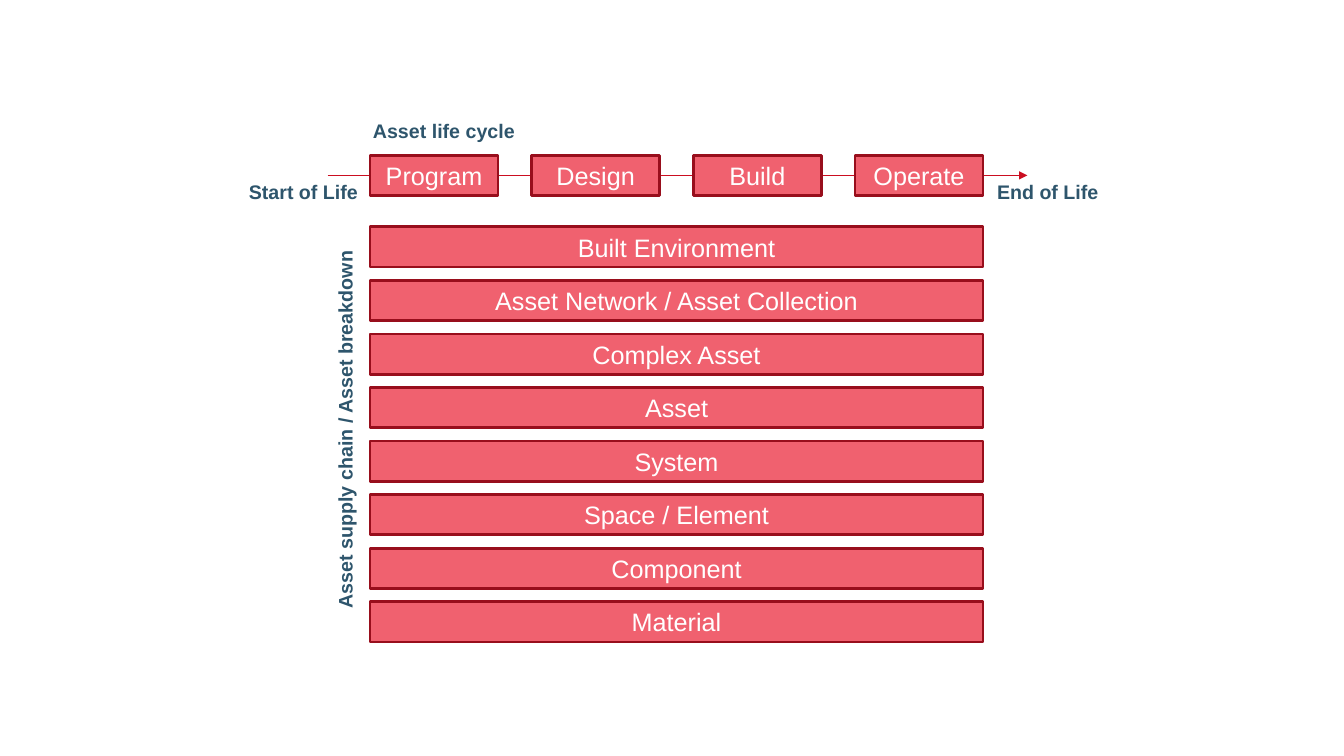
from lxml import etree
from pptx import Presentation
from pptx import util as u
from pptx.dml.color import RGBColor
from pptx.enum import shapes, text
from pptx.oxml.ns import qn

WIDE, HIGH = 13.33, 7.5
LEFT, SPAN = 3.67, 6.08
BOX_W, BOX_H = 1.27, 0.4
STEP = (SPAN - BOX_W) / 3
CYCLE_TOP, AXIS = 1.54, 1.74
ROW_TOP, ROW_STEP = 2.25, 3.72 / 7
LABEL_H = 0.34

STAGES = ["Program", "Design", "Build", "Operate"]
LEVELS = ["Built Environment", "Asset Network / Asset Collection",
          "Complex Asset", "Asset", "System", "Space / Element",
          "Component", "Material"]
LABELS = [("Asset life cycle", 3.6, 1.13, 1.61, 0),
          ("Start of Life", 2.37, AXIS, 1.34, 0),
          ("End of Life", 9.79, AXIS, 1.21, 0),
          ("Asset supply chain / Asset breakdown", 1.49, 4.03, 3.87, 270)]

BAR_FONT = {"name": "Arial", "size": u.Pt(18), "bold": False}
LABEL_FONT = {"name": "Arial", "size": u.Pt(14), "bold": True}
BAR_FRAME = {"word_wrap": True, "vertical_anchor": text.MSO_ANCHOR.MIDDLE}
LABEL_FRAME = {"word_wrap": False,
               "auto_size": text.MSO_AUTO_SIZE.SHAPE_TO_FIT_TEXT}


def paint(part, shade):
    part.rgb = RGBColor.from_string(shade)


def apply(item, values):
    for key, value in values.items():
        setattr(item, key, value)


def write(shape, words, frame, font, shade, align):
    apply(shape.text_frame, frame)
    line = shape.text_frame.paragraphs[0]
    line.alignment = align
    run = line.add_run()
    run.text = words
    apply(run.font, font)
    paint(run.font.color, shade)


def add_bar(slide, words, left, top, width):
    bar = slide.shapes.add_shape(
        shapes.MSO_SHAPE.RECTANGLE,
        *map(u.Inches, (left, top, width, BOX_H)))
    bar.shadow.inherit = False
    bar.fill.solid()
    paint(bar.fill.fore_color, "F0616F")
    paint(bar.line.color, "980E1C")
    bar.line.width = u.Pt(2)
    write(bar, words, BAR_FRAME, BAR_FONT, "FFFFFF", text.PP_ALIGN.CENTER)


def add_label(slide, words, left, top, width, turn):
    label = slide.shapes.add_textbox(
        *map(u.Inches, (left, top, width, LABEL_H)))
    label.rotation = turn
    write(label, words, LABEL_FRAME, LABEL_FONT, "2E556C", text.PP_ALIGN.LEFT)


def add_arrow(slide, start, end, level):
    arrow = slide.shapes.add_connector(
        shapes.MSO_CONNECTOR.STRAIGHT,
        *map(u.Inches, (start, level, end, level)))
    paint(arrow.line.color, "CB0E21")
    arrow.line.width = u.Pt(0.75)
    props = arrow.element.spPr
    etree.SubElement(props.find(qn("a:ln")), qn("a:tailEnd"), type="triangle")
    etree.SubElement(props, qn("a:effectLst"))


def main():
    deck = Presentation()
    deck.slide_width, deck.slide_height = u.Inches(WIDE), u.Inches(HIGH)
    slide = deck.slides.add_slide(deck.slide_layouts[6])
    add_arrow(slide, 3.25, 10.19, AXIS)
    for col, stage in enumerate(STAGES):
        add_bar(slide, stage, LEFT + col * STEP, CYCLE_TOP, BOX_W)
    for row, level in enumerate(LEVELS):
        add_bar(slide, level, LEFT, ROW_TOP + row * ROW_STEP, SPAN)
    for label in LABELS:
        add_label(slide, *label)
    deck.save("out.pptx")


if __name__ == "__main__":
    main()
